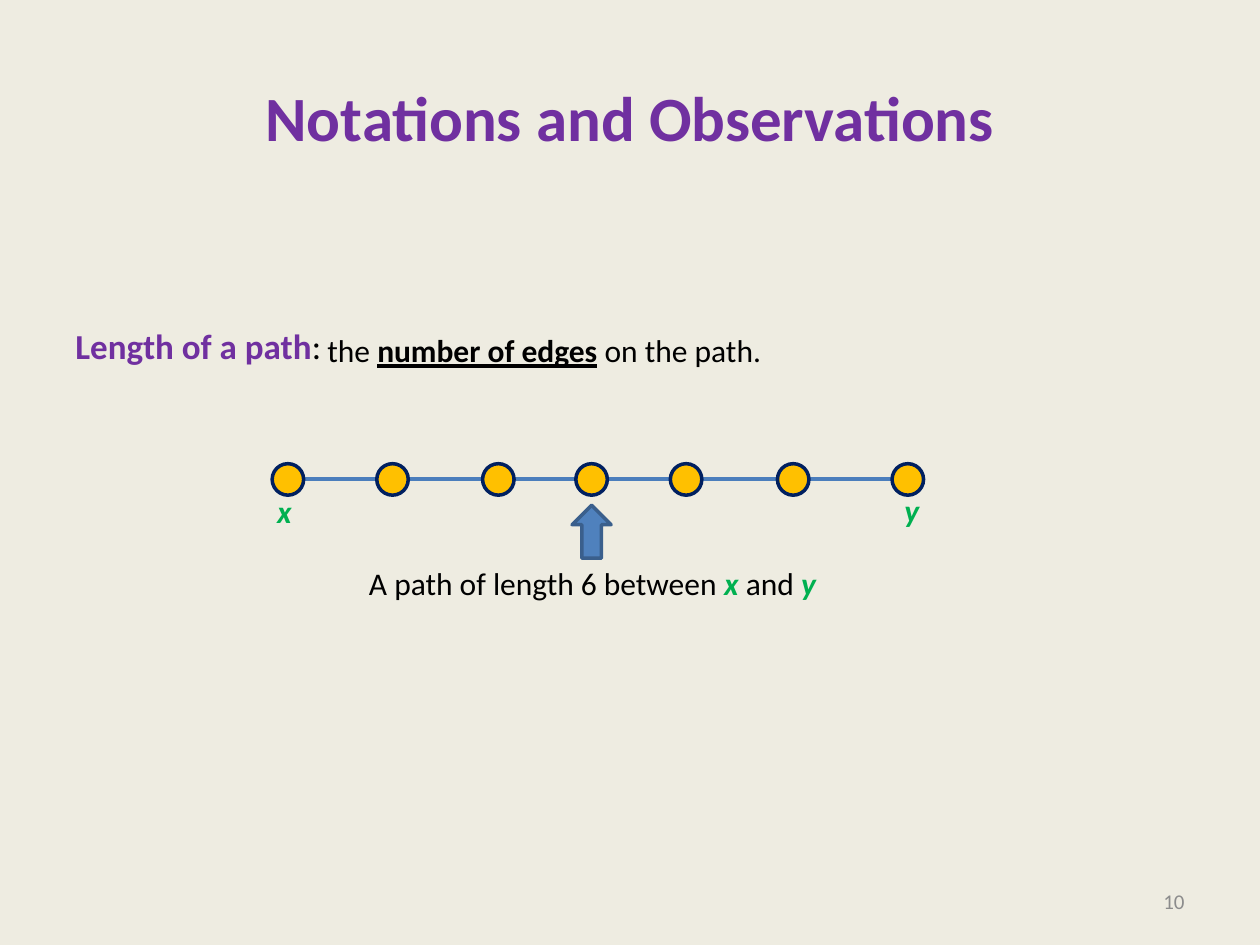
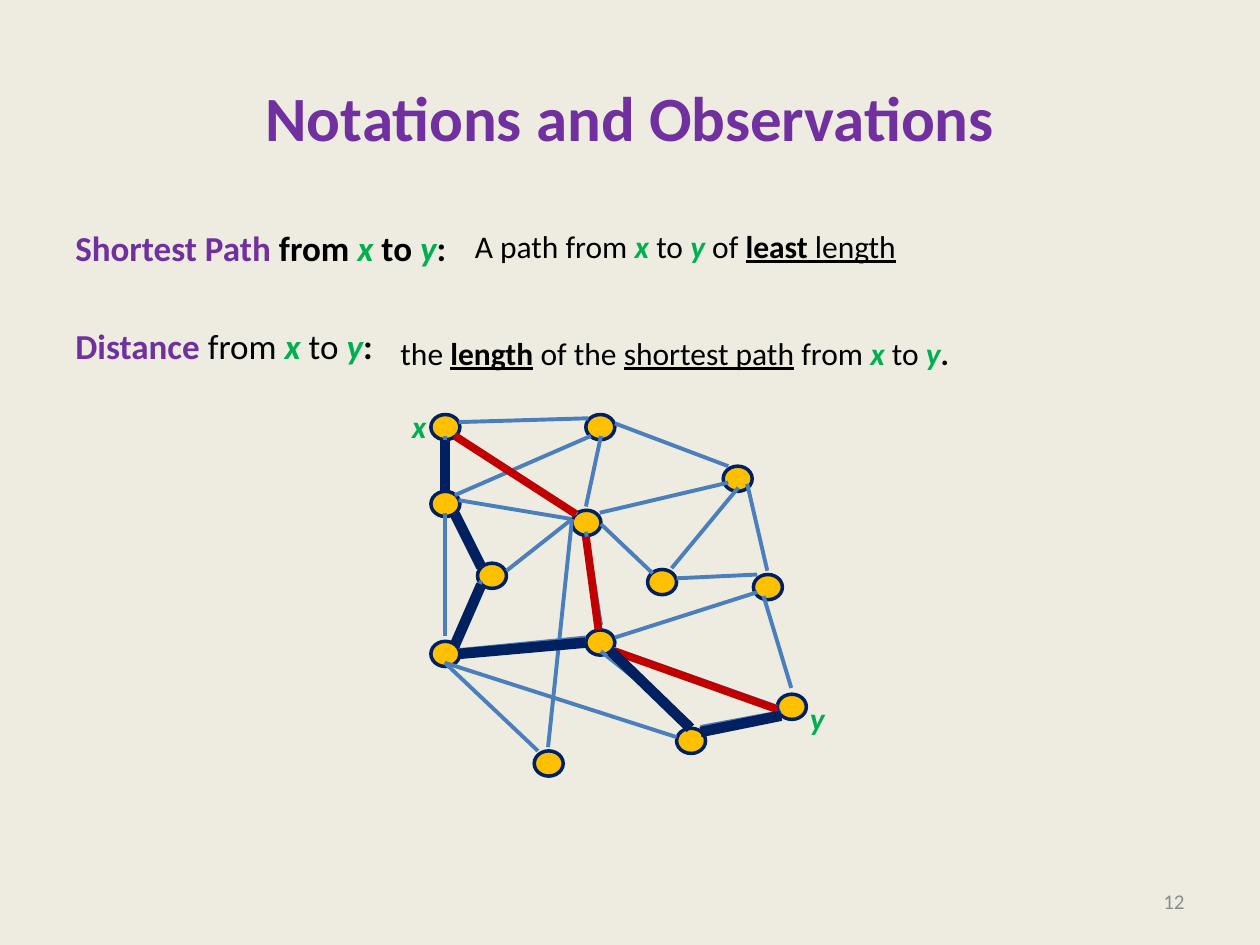
from pptx import Presentation
from pptx.dml.color import RGBColor
from pptx.enum import shapes, text
from pptx.oxml.ns import qn
from pptx.util import Inches, Pt
from lxml import etree

FONT = "Calibri"
BEIGE = RGBColor(0xEE, 0xEC, 0xE1)
PURPLE = RGBColor(0x70, 0x30, 0xA0)
BLACK = RGBColor(0, 0, 0)
GREEN = RGBColor(0x00, 0xB0, 0x50)
GRAY = RGBColor(0x8C, 0x8C, 0x8C)
GOLD = RGBColor(0xFF, 0xC0, 0x00)
NAVY = RGBColor(0x00, 0x20, 0x60)
EDGE_BLUE = RGBColor(0x4B, 0x7E, 0xBC)
ARROW_BLUE = RGBColor(0x4F, 0x81, 0xBD)
ARROW_LINE = RGBColor(0x3A, 0x5F, 0x8C)
RED = RGBColor(0xC0, 0x00, 0x00)

# Run styles: colour, bold, italic, underline
PLAIN = (BLACK, False, False, False)
BOLD = (BLACK, True, False, False)
UNDER = (BLACK, False, False, True)
BOLD_UNDER = (BLACK, True, False, True)
TERM = (PURPLE, True, False, False)
VERTEX = (GREEN, True, True, False)
NUMBER = (GRAY, False, False, False)

# Path drawing: left edges of its nodes
PATH_LEFTS = [2.16, 2.99, 3.83, 4.57, 5.32, 6.17, 7.08]
PATH_TOP, PATH_NODE = 3.68, 0.25

# Graph drawing: left and top of each node, then edges as x1, y1, x2, y2
GRAPH_NODES = [
    (3.42, 3.29), (3.42, 3.9), (3.79, 4.47), (3.42, 5.09), (4.54, 4.05),
    (4.65, 5), (4.24, 5.96), (6.17, 5.51), (5.14, 4.52), (5.37, 5.78),
    (4.65, 3.29), (5.98, 4.56), (5.74, 3.7),
]
GRAPH_EDGES = [
    (3.64, 5.16, 4.65, 5.06), (3.64, 3.97, 4.54, 4.12),
    (3.64, 3.35, 4.67, 3.32), (3.53, 3.46, 3.53, 3.87),
    (4.76, 4.07, 5.78, 3.83), (4.27, 5.96, 3.53, 5.26),
    (3.53, 4.07, 3.53, 5.05), (4.65, 4.22, 4.77, 4.96),
    (4.88, 3.36, 5.78, 3.7), (6.09, 4.53, 5.93, 3.84),
    (4.88, 5.06, 6.01, 4.7), (5.56, 5.77, 6.2, 5.65),
    (3.61, 4.08, 3.82, 4.5), (6.06, 4.73, 6.28, 5.46),
    (4.54, 4.12, 4.35, 5.93), (4.77, 5.17, 5.48, 5.74),
    (5.37, 4.59, 6.01, 4.56), (4.54, 4.12, 4.02, 4.53),
    (3.61, 5.08, 3.82, 4.61), (5.33, 4.51, 5.86, 3.87),
    (3.53, 5.26, 5.37, 5.85), (4.77, 3.46, 4.65, 4.02),
    (6.17, 5.61, 4.87, 5.15), (3.61, 3.46, 4.58, 4.08),
    (4.69, 3.46, 3.61, 3.93), (4.77, 4.16, 5.18, 4.55),
]
SHORTEST_PATH = [
    (3.61, 3.46, 4.57, 4.08), (4.75, 5, 4.65, 4.26), (6.17, 5.63, 4.88, 5.17),
]
LONGER_PATH = [
    (3.53, 3.49, 3.53, 3.9), (3.82, 4.5, 3.61, 4.08),
    (3.61, 5.12, 3.82, 4.64), (3.64, 5.19, 4.65, 5.1),
    (5.48, 5.78, 4.85, 5.17), (5.56, 5.81, 6.2, 5.68),
]

# Rows of definitions
FIRST_ROW, SECOND_ROW = 1.75, 2.53


def add_runs(p, runs, size):
    for content, (color, bold, italic, underline) in runs:
        r = p.add_run()
        r.text = content
        r.font.name, r.font.size = FONT, Pt(size)
        r.font.color.rgb = color
        r.font.bold, r.font.italic, r.font.underline = bold, italic, underline


def add_text(s, left, top, width, runs, size=18, wrap=False):
    tb = s.shapes.add_textbox(Inches(left), Inches(top), Inches(width), Inches(0.4))
    tf = tb.text_frame
    tf.word_wrap = wrap
    add_runs(tf.paragraphs[0], runs, size)
    return tf


def add_term(s, top, runs):
    add_text(s, 0.5, top, 9, runs, size=20, wrap=True)


def add_vertex_label(s, left, top, name):
    add_text(s, left, top, 0.32, [(name, VERTEX)])


def add_preset(s, kind, left, top, width, height, fill, line):
    sp = s.shapes.add_shape(kind, Inches(left), Inches(top), Inches(width), Inches(height))
    sp.shadow.inherit = False
    sp.fill.solid()
    sp.fill.fore_color.rgb = fill
    sp.line.color.rgb = line
    sp.line.width = Pt(2)


def add_node(s, left, top, width, height):
    add_preset(s, shapes.MSO_SHAPE.OVAL, left, top, width, height, GOLD, NAVY)


def add_edges(s, edges, color=EDGE_BLUE, width=2.25):
    for edge in edges:
        c = s.shapes.add_connector(shapes.MSO_CONNECTOR.STRAIGHT, *map(Inches, edge))
        c.line.color.rgb = color
        c.line.width = Pt(width)
        etree.SubElement(c._element.spPr, qn("a:effectLst"))


def add_slide(prs, number):
    s = prs.slides.add_slide(prs.slide_layouts[5])
    title = s.shapes.title
    title.left, title.top = Inches(0.5), Inches(0.3)
    title.width, title.height = Inches(9), Inches(1.25)
    tf = title.text_frame
    tf.vertical_anchor = text.MSO_ANCHOR.MIDDLE
    tf.paragraphs[0].alignment = text.PP_ALIGN.CENTER
    add_runs(tf.paragraphs[0], [("Notations and Observations", TERM)], 36)

    tf = add_text(s, 7.17, 6.95, 2.33, [(str(number), NUMBER)], size=12, wrap=True)
    tf.vertical_anchor = text.MSO_ANCHOR.MIDDLE
    tf.paragraphs[0].alignment = text.PP_ALIGN.RIGHT
    return s


def build_path_length(prs):
    s = add_slide(prs, 10)
    add_term(s, SECOND_ROW, [("Length of a path", TERM), (":", PLAIN)])
    add_text(s, 2.5, 2.58, 3.66, [
        ("the ", PLAIN), ("number of edges", BOLD_UNDER), (" on the path.", PLAIN)])

    # Path from x to y
    mid = PATH_TOP + PATH_NODE / 2
    add_edges(s, [(a + PATH_NODE, mid, b, mid)
                  for a, b in zip(PATH_LEFTS, PATH_LEFTS[1:])])
    for left in PATH_LEFTS:
        add_node(s, left, PATH_TOP, PATH_NODE, PATH_NODE)
    add_vertex_label(s, 2.1, 3.86, "x")
    add_vertex_label(s, 7.08, 3.85, "y")

    # Caption
    add_preset(s, shapes.MSO_SHAPE.UP_ARROW, 4.54, 4.01, 0.31, 0.42, ARROW_BLUE, ARROW_LINE)
    add_text(s, 2.83, 4.43, 3.79, [
        ("A path of length 6 between ", PLAIN), ("x ", VERTEX),
        ("and", PLAIN), (" y", VERTEX)], wrap=True)


def build_distance(prs):
    s = add_slide(prs, 12)

    # Definitions
    add_term(s, FIRST_ROW, [
        ("Shortest Path ", TERM), ("from ", BOLD), ("x ", VERTEX),
        ("to", BOLD), (" y", VERTEX), (":", BOLD)])
    add_term(s, SECOND_ROW, [
        ("Distance", TERM), (" from", PLAIN), (" x", VERTEX),
        (" to", PLAIN), (" y", VERTEX), (":", BOLD)])
    add_text(s, 3.67, 1.75, 3.58, [
        ("A path from ", PLAIN), ("x ", VERTEX), ("to ", PLAIN), ("y", VERTEX),
        (" of ", PLAIN), ("least", BOLD_UNDER), (" length", UNDER)])
    add_text(s, 3.08, 2.6, 4.62, [
        ("the ", PLAIN), ("length", BOLD_UNDER), (" of the ", PLAIN),
        ("shortest path", UNDER), (" from ", PLAIN), ("x", VERTEX),
        (" to", PLAIN), (" y", VERTEX), (".", BOLD)])

    # Graph with two paths from x to y
    for left, top in GRAPH_NODES:
        add_node(s, left, top, 0.23, 0.2)
    add_edges(s, GRAPH_EDGES)
    add_edges(s, SHORTEST_PATH, RED, 4.5)
    add_vertex_label(s, 3.17, 3.18, "x")
    add_vertex_label(s, 6.33, 5.5, "y")
    add_edges(s, LONGER_PATH, NAVY, 6)


def main():
    prs = Presentation()
    prs.slide_width, prs.slide_height = Inches(10), Inches(7.5)
    fill = prs.slide_master.background.fill
    fill.solid()
    fill.fore_color.rgb = BEIGE
    build_path_length(prs)
    build_distance(prs)
    prs.save("out.pptx")


if __name__ == "__main__":
    main()
